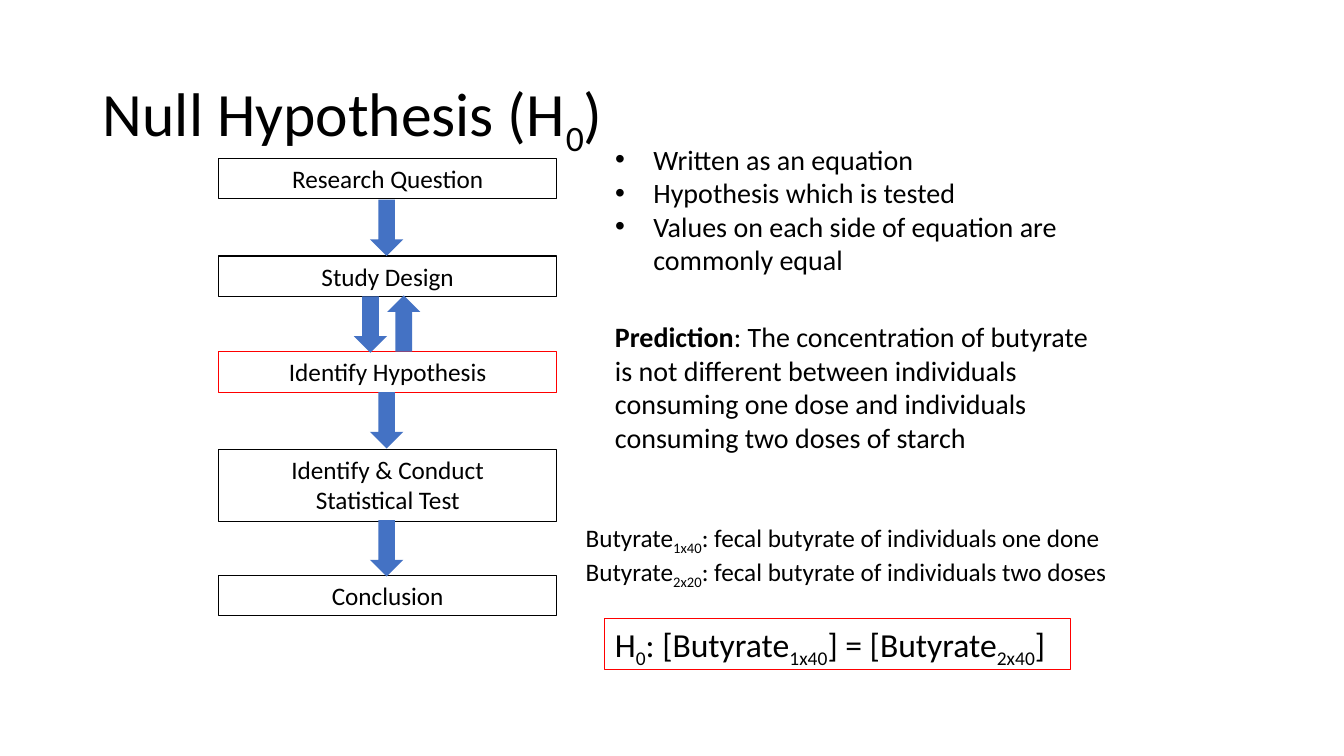
"""Build the Null Hypothesis slide: a research flow chart beside its worked example."""
from lxml import etree
from pptx import Presentation
from pptx.dml.color import RGBColor
from pptx.enum.shapes import MSO_SHAPE as Preset
from pptx.enum.text import MSO_ANCHOR as Anchor, MSO_AUTO_SIZE as AutoSize, PP_ALIGN as Align
from pptx.oxml.ns import qn
from pptx.util import Inches, Pt

BLACK = RGBColor(0x00, 0x00, 0x00)
RED = RGBColor(0xFF, 0x00, 0x00)
BLUE = RGBColor(0x44, 0x72, 0xC4)


def place(box, left, top, width, height):
    box.left, box.top = Inches(left), Inches(top)
    box.width, box.height = Inches(width), Inches(height)


def write(box, lines, size, align=Align.LEFT, anchor=Anchor.TOP, bullet=False):
    """Write one paragraph per line; text between bars is subscript."""
    frame = box.text_frame
    frame.word_wrap = True
    frame.auto_size = AutoSize.NONE
    frame.vertical_anchor = anchor
    for index, line in enumerate(lines):
        paragraph = frame.add_paragraph() if index else frame.paragraphs[0]
        paragraph.alignment = align
        paragraph.space_before = Pt(0)
        if bullet:
            properties = paragraph._p.get_or_add_pPr()
            properties.set("marL", str(Inches(0.38)))
            properties.set("indent", str(Inches(-0.38)))
            etree.SubElement(properties, qn("a:buFont")).set("typeface", "Arial")
            etree.SubElement(properties, qn("a:buChar")).set("char", "•")
        paragraph.font.name = "Calibri"
        paragraph.font.size = Pt(size)
        paragraph.font.color.rgb = BLACK
        for position, part in enumerate(line.split("|")):
            run = paragraph.add_run()
            run.text = part
            if position % 2:
                run._r.get_or_add_rPr().set("baseline", "-25000")


presentation = Presentation()
presentation.slide_width = Inches(13.33)
presentation.slide_height = Inches(7.5)
slide = presentation.slides.add_slide(presentation.slide_layouts[1])
shapes = slide.shapes

title = shapes.title
place(title, 0.92, 0.4, 11.5, 1.45)
write(title, ["Null Hypothesis (H|0|)"], 44, anchor=Anchor.MIDDLE)
title.text_frame.paragraphs[0].line_spacing = 0.9

features = slide.placeholders[1]
place(features, 6, 1.36, 4.98, 1.45)
write(features, [
    "Written as an equation",
    "Hypothesis which is tested",
    "Values on each side of equation are commonly equal",
], 20, bullet=True)

prediction = shapes.add_textbox(Inches(6), Inches(3.12), Inches(4.98), Inches(1.45))
write(prediction, ["Prediction"], 20)
prediction_line = prediction.text_frame.paragraphs[0]
prediction_line.runs[0].font.bold = True
prediction_line.add_run().text = (
    ": The concentration of butyrate is not different between individuals "
    "consuming one dose and individuals consuming two doses of starch"
)

definitions = shapes.add_textbox(Inches(5.71), Inches(5.13), Inches(5.53), Inches(1.01))
write(definitions, [
    "Butyrate|1x40|: fecal butyrate of individuals one done",
    "Butyrate|2x20|: fecal butyrate of individuals two doses",
], 18)

equation = shapes.add_textbox(Inches(6), Inches(6.14), Inches(4.62), Inches(0.5))
write(equation, ["H|0|: [Butyrate|1x40|] = [Butyrate|2x40|]"], 24)
equation.line.color.rgb = RED
equation.line.width = Pt(0.75)

steps = [
    (1.57, 0.4, BLACK, ["Research Question"]),
    (2.54, 0.4, BLACK, ["Study Design"]),
    (3.49, 0.4, RED, ["Identify Hypothesis"]),
    (4.46, 0.71, BLACK, ["Identify & Conduct", "Statistical Test"]),
    (5.71, 0.4, BLACK, ["Conclusion"]),
]
for top, height, outline, label in steps:
    step = shapes.add_textbox(Inches(2.17), Inches(top), Inches(3.35), Inches(height))
    write(step, label, 18, align=Align.CENTER)
    step.line.color.rgb = outline
    step.line.width = Pt(0.75)

flow = [
    (3.67, 1.98, Preset.DOWN_ARROW),
    (3.51, 2.94, Preset.DOWN_ARROW),
    (3.84, 2.93, Preset.UP_ARROW),
    (3.67, 3.89, Preset.DOWN_ARROW),
    (3.67, 5.16, Preset.DOWN_ARROW),
]
for left, top, direction in flow:
    arrow = shapes.add_shape(direction, Inches(left), Inches(top), Inches(0.33), Inches(0.56))
    arrow.shadow.inherit = False
    arrow.fill.solid()
    arrow.fill.fore_color.rgb = BLUE
    arrow.line.fill.background()

presentation.save("out.pptx")
